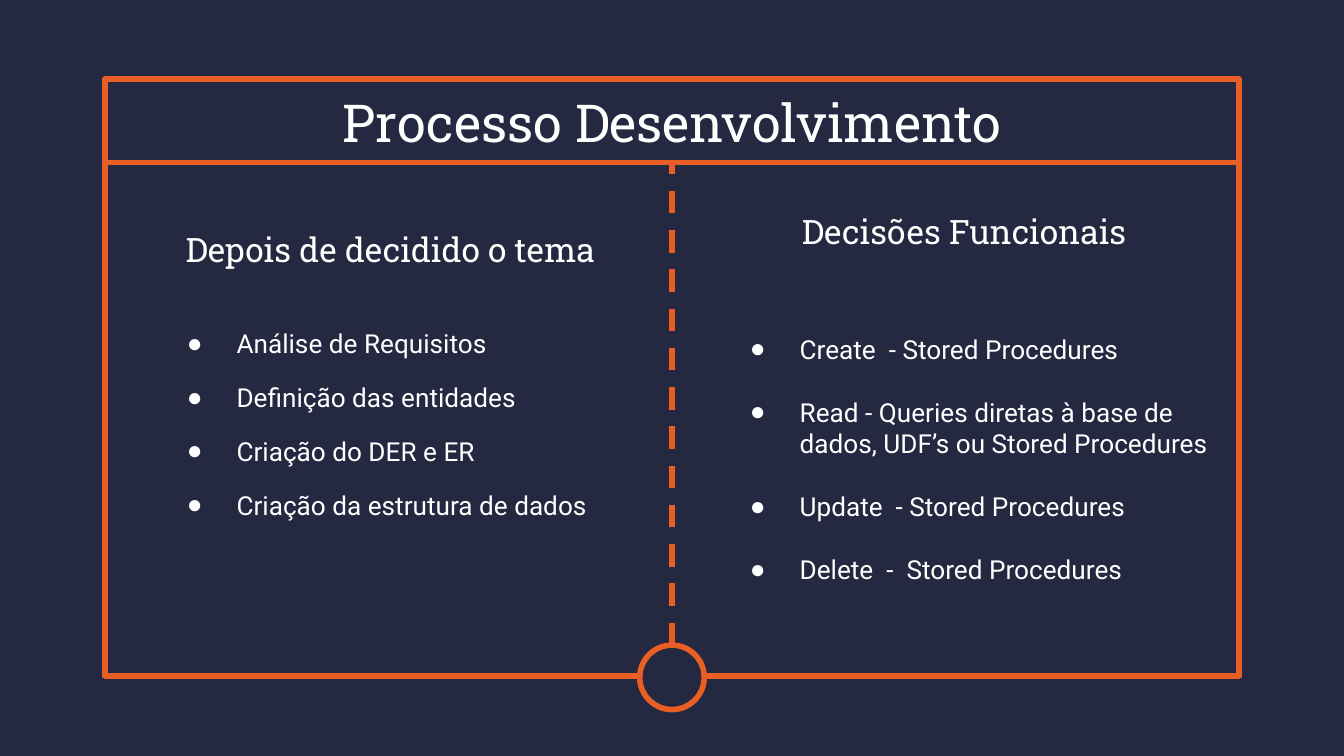
"""Builds the slide on the development process with two framed columns."""
import pptx
import pptx.util
import pptx.dml.color
import pptx.enum.dml
import pptx.enum.shapes
import pptx.enum.text
import pptx.oxml
import pptx.oxml.ns
from pptx.util import Inches

NAVY = pptx.dml.color.RGBColor(0x24, 0x28, 0x41)
ORANGE = pptx.dml.color.RGBColor(0xE9, 0x5E, 0x24)
WHITE = pptx.dml.color.RGBColor(0xFF, 0xFF, 0xFF)
SLAB, SANS = "Roboto Slab", "Roboto"
CENTER = pptx.enum.text.PP_ALIGN.CENTER
LEFT = pptx.enum.text.PP_ALIGN.LEFT
NAMESPACE = pptx.oxml.ns.nsdecls("a")


def write(para, text, font=SANS, size=14, align=LEFT, before=0, after=0):
    para.alignment = align
    para.space_before = pptx.util.Pt(before)
    para.space_after = pptx.util.Pt(after)
    span = para.add_run()
    span.text = text
    span.font.name = font
    span.font.size = pptx.util.Pt(size)
    span.font.bold = False
    span.font.color.rgb = WHITE


class SlideBuilder:
    def __init__(self, page):
        self.page = page
        page.background.fill.solid()
        page.background.fill.fore_color.rgb = NAVY

    def outline(self, item):
        item.line.color.rgb = ORANGE
        item.line.width = pptx.util.Pt(3)

    def shape(self, kind, left, top, width, height, fill=None):
        box = self.page.shapes.add_shape(
            kind, Inches(left), Inches(top), Inches(width), Inches(height))
        box.shadow.inherit = False
        if fill is None:
            box.fill.background()
        else:
            box.fill.solid()
            box.fill.fore_color.rgb = fill
        self.outline(box)
        return box

    def line(self, start, end, dash=None):
        rule = self.page.shapes.add_connector(
            pptx.enum.shapes.MSO_CONNECTOR.STRAIGHT,
            *(Inches(value) for value in (*start, *end)))
        self.outline(rule)
        rule.line.dash_style = dash
        rule._element.spPr.append(pptx.oxml.parse_xml(f"<a:effectLst {NAMESPACE}/>"))
        return rule

    def placeholder(self, index, left, top, width, height):
        box = self.page.placeholders[index]
        box.left, box.top = Inches(left), Inches(top)
        box.width, box.height = Inches(width), Inches(height)
        frame = box.text_frame
        frame.word_wrap = True
        frame.auto_size = pptx.enum.text.MSO_AUTO_SIZE.NONE
        frame.vertical_anchor = pptx.enum.text.MSO_ANCHOR.MIDDLE
        frame.margin_left = frame.margin_right = Inches(0.1)
        frame.margin_top = frame.margin_bottom = Inches(0.1)
        return frame

    def heading(self, index, text, *place, size=18, after=12):
        frame = self.placeholder(index, *place)
        write(frame.paragraphs[0], text, font=SLAB, size=size, align=CENTER, after=after)

    def bullets(self, index, items, *place, gap):
        frame = self.placeholder(index, *place)
        for number, text in enumerate(items):
            para = frame.add_paragraph() if number else frame.paragraphs[0]
            write(para, text, before=gap if number else 0)
            properties = para._p.get_or_add_pPr()
            properties.set("marL", str(Inches(0.5)))
            properties.set("indent", str(Inches(-0.37)))
            for mark in (f'<a:buClr {NAMESPACE}><a:srgbClr val="{WHITE}"/></a:buClr>',
                         f'<a:buChar {NAMESPACE} char="●"/>'):
                properties.append(pptx.oxml.parse_xml(mark))


def main():
    deck = pptx.Presentation()
    deck.slide_width = Inches(10)
    deck.slide_height = deck.slide_width * 9 // 16
    builder = SlideBuilder(deck.slides.add_slide(deck.slide_layouts[4]))
    shapes = pptx.enum.shapes.MSO_SHAPE

    builder.shape(shapes.RECTANGLE, 0.78, 0.59, 8.44, 4.44)
    builder.line((0.8, 1.21), (9.2, 1.21))
    circle = builder.shape(shapes.OVAL, 4.76, 4.8, 0.48, 0.48, fill=NAVY)
    divider = builder.line((5, 4.8), (5, 1.22), dash=pptx.enum.dml.MSO_LINE.DASH)
    divider.begin_connect(circle, 0)

    builder.heading(0, "Processo Desenvolvimento", 0.78, 0.59, 8.44, 0.63, size=28, after=0)
    builder.heading(1, "Depois de decidido o tema", 1.24, 1.66, 3.33, 0.38)
    builder.bullets(2, [
        "Análise de Requisitos",
        "Definição das entidades",
        "Criação do DER e ER",
        "Criação da estrutura de dados",
    ], 1.16, 2.88, 3.49, 0.55, gap=12)
    builder.heading(3, "Decisões Funcionais", 5.51, 1.53, 3.33, 0.38)
    builder.bullets(4, [
        "Create  - Stored Procedures",
        "Read - Queries diretas à base de dados, UDF’s ou Stored Procedures",
        "Update  - Stored Procedures",
        "Delete  -  Stored Procedures",
    ], 5.35, 3.14, 3.87, 0.55, gap=16.9)
    deck.save("out.pptx")


if __name__ == "__main__":
    main()
